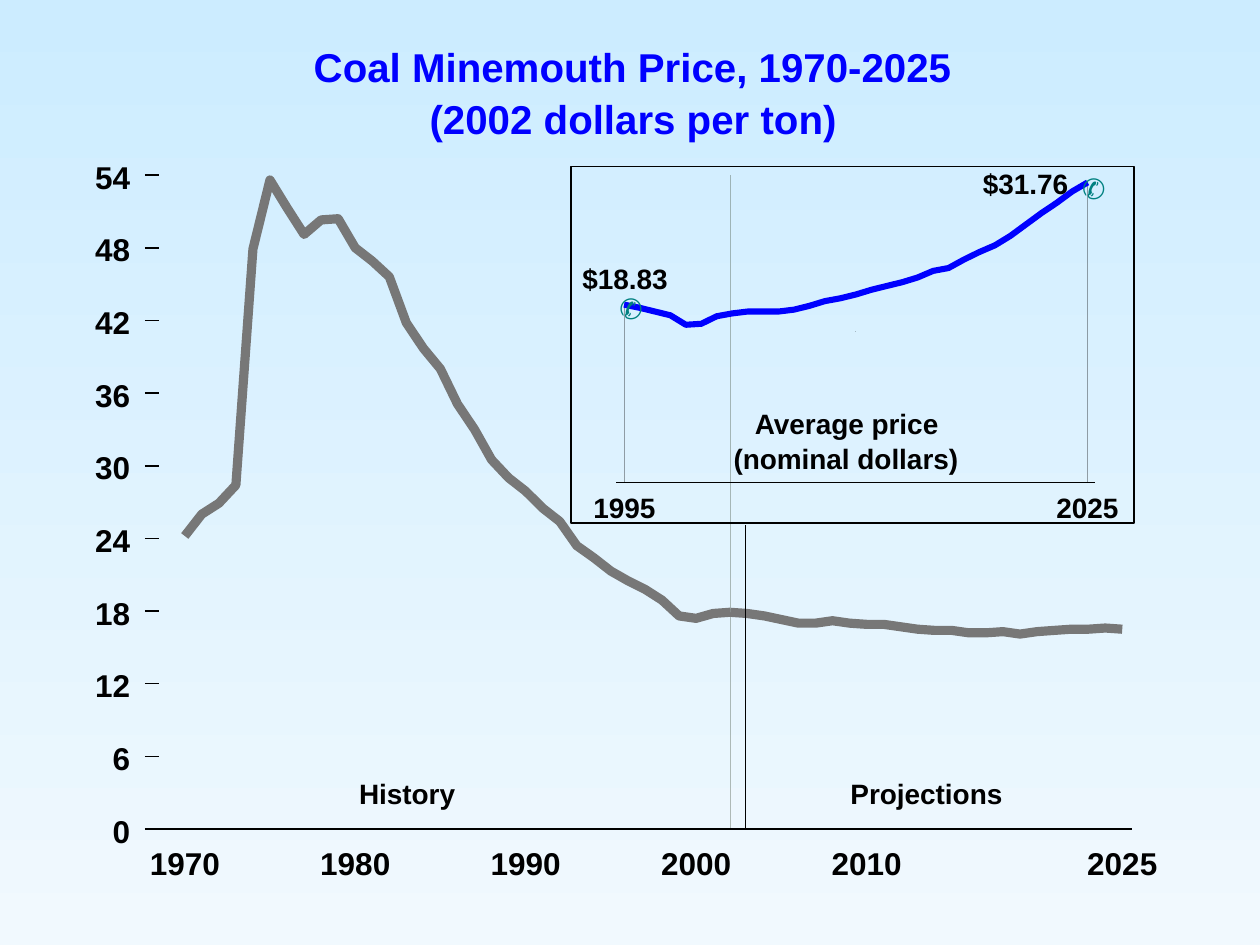
from pptx import Presentation
from pptx.dml.color import RGBColor
from pptx.enum.shapes import MSO_CONNECTOR, MSO_SHAPE
from pptx.enum.text import MSO_AUTO_SIZE
from pptx.oxml.ns import qn
from pptx.util import Pt
from lxml import etree

RECT = MSO_SHAPE.RECTANGLE
STRAIGHT = MSO_CONNECTOR.STRAIGHT
FIT = MSO_AUTO_SIZE.SHAPE_TO_FIT_TEXT

# Content: prices per year
PAST = [24.2, 26.0, 26.9, 28.4, 47.9, 53.6, 51.3, 49.1, 50.3, 50.4, 48.0,
        46.9, 45.6, 41.8, 39.7, 38.0, 35.1, 33.0, 30.5, 29.0, 27.9, 26.5,
        25.4, 23.4, 22.4, 21.3, 20.5, 19.8, 18.9, 17.6, 17.4, 17.8, 17.9]
AHEAD = [17.9, 17.8, 17.6, 17.3, 17.0, 17.0, 17.2, 17.0, 16.9, 16.9, 16.7,
         16.5, 16.4, 16.4, 16.2, 16.2, 16.3, 16.1, 16.3, 16.4, 16.5, 16.5,
         16.6, 16.5]
NOMINAL = [18.83, 18.5, 18.1, 17.7, 16.7, 16.8, 17.6, 17.9, 18.1, 18.1, 18.1,
           18.3, 18.7, 19.2, 19.5, 19.9, 20.4, 20.8, 21.2, 21.7, 22.4, 22.7,
           23.6, 24.4, 25.1, 26.1, 27.3, 28.5, 29.6, 30.8, 31.76]
YEARS = [1970, 1980, 1990, 2000, 2010, 2025]
TICKS = range(0, 55, 6)

# Text, left, top, width, style
TITLE = [
    ("Coal Minemouth Price, 1970-2025", 179.3, 24, 366, "title"),
    ("(2002 dollars per ton)", 245.5, 54, 234.3, "title"),
]
NOTES = [
    ("History", 205.2, 443.9, 56, "note"),
    ("Projections", 486, 443.9, 88, "note"),
]
INSET = [
    ("✆", 354, 166.7, 5.8, "mark"),
    ("✆", 618.3, 97.9, 5.8, "mark"),
    ("1995", 339.1, 280.1, 36.5, "note"),
    ("2025", 603.6, 280.1, 36.5, "note"),
    ("Average price", 431.3, 232.6, 107, "note"),
    ("(nominal dollars)", 419.2, 252.4, 130, "note"),
    ("$31.76", 561.6, 95, 50, "note"),
    ("$18.83", 332.8, 149.3, 50, "note"),
]

THEME = {
    "sky": ("CCECFF", "F1F9FE"),
    "ink": "000000", "grid": "3B4832", "real": "777777", "nominal": "0000FF",
    # font, size, colour, bold, box height
    "title": ("Arial", 23, "0000FF", True, 27.4),
    "axis": ("Arial", 18, "000000", True, 21.6),
    "note": ("Arial", 16, "000000", True, 19.4),
    "mark": ("Comic Neue", 16, "008080", False, 19.4),
}

# Scales: first year, its x, points per year, base y, points per dollar
MAIN = (1970, 105.6, 9.74, 473.76, 6.92)
SMALL = (1995, 356.6, 8.83, 275.76, 5.4)

# Specks: x, y, colour
SPECKS = [(368.6, 286.6, "grid"), (488.9, 189.4, "ink")]

prs = Presentation()
prs.slide_width, prs.slide_height = Pt(720), Pt(540)
slide = prs.slides.add_slide(prs.slide_layouts[6])
shapes = slide.shapes


def rgb(name):
    return RGBColor.from_string(THEME.get(name, name))


def place(scale, year, price):
    start, left, step, base, unit = scale
    return left + (year - start) * step, base - price * unit


def text(words, left, top, width, style):
    font, size, color, bold, height = THEME[style]
    box = shapes.add_textbox(Pt(left), Pt(top), Pt(width), Pt(height))
    frame = box.text_frame
    frame.margin_left = frame.margin_right = 0
    frame.margin_top = frame.margin_bottom = 0
    frame.word_wrap = False
    frame.auto_size = FIT
    frame.text = words
    face = frame.paragraphs[0].runs[0].font
    face.name, face.size, face.bold = font, Pt(size), bold
    face.color.rgb = rgb(color)


def rule(x1, y1, x2, y2, weight=0.88):
    line = shapes.add_connector(STRAIGHT, Pt(x1), Pt(y1), Pt(x2), Pt(y2))
    line.line.color.rgb = rgb("ink")
    line.line.width = Pt(weight)
    etree.SubElement(line._element.spPr, qn("a:effectLst"))


def hair(x, top, base, color):
    bar = shapes.add_shape(RECT, Pt(x), Pt(top), Pt(0.2), Pt(base - top))
    bar.shadow.inherit = False
    bar.fill.solid()
    bar.fill.fore_color.rgb = rgb(color)
    bar.line.fill.background()


def curve(scale, first, prices, color, weight):
    spots = [place(scale, first + i, p) for i, p in enumerate(prices)]
    spots = [(Pt(x), Pt(y)) for x, y in spots]
    pen = shapes.build_freeform(*spots[0])
    pen.add_line_segments(spots[1:], close=False)
    path = pen.convert_to_shape()
    path.shadow.inherit = False
    path.fill.background()
    path.line.color.rgb = rgb(color)
    path.line.width = Pt(weight)


# Background
fill = slide.background.fill
fill.gradient()
fill.gradient_angle = 270
for stop, color in zip(fill.gradient_stops, THEME["sky"]):
    stop.color.rgb = rgb(color)

# Main chart
split, peak = place(MAIN, 2002, 54)
base = MAIN[3]
hair(split, peak, base, "grid")
curve(MAIN, 2002, AHEAD, "real", 5.25)
curve(MAIN, 1970, PAST, "real", 5.25)
for price in TICKS:
    y = place(MAIN, 1970, price)[1]
    rule(82.8, y, 90.7, y)
    width = 10 * len(str(price))
    text(str(price), 74.4 - width, y - 10, width + 1, "axis")
rule(90.7, base, 646.6, base)
for year in YEARS:
    text(str(year), place(MAIN, year, 0)[0] - 20, 482.6, 41, "axis")
for item in TITLE + NOTES:
    text(*item)

# Inset chart
for x, y, color in SPECKS:
    hair(x, y, y + 0.2, color)
for year, price in ((1995, NOMINAL[0]), (2025, NOMINAL[-1])):
    x, top = place(SMALL, year, price)
    hair(x, top, SMALL[3], "ink")
curve(SMALL, 1995, NOMINAL, "nominal", 3.5)
rule(352.1, SMALL[3], 625.7, SMALL[3])
frame = shapes.add_shape(RECT, Pt(326.2), Pt(95.2), Pt(321.8), Pt(203.6))
frame.shadow.inherit = False
frame.fill.background()
frame.line.color.rgb = rgb("ink")
frame.line.width = Pt(0.88)
for item in INSET:
    text(*item)

# Divider between history and projections
rule(426.2, base, 426.2, 300.2, 0.75)

prs.save("out.pptx")
